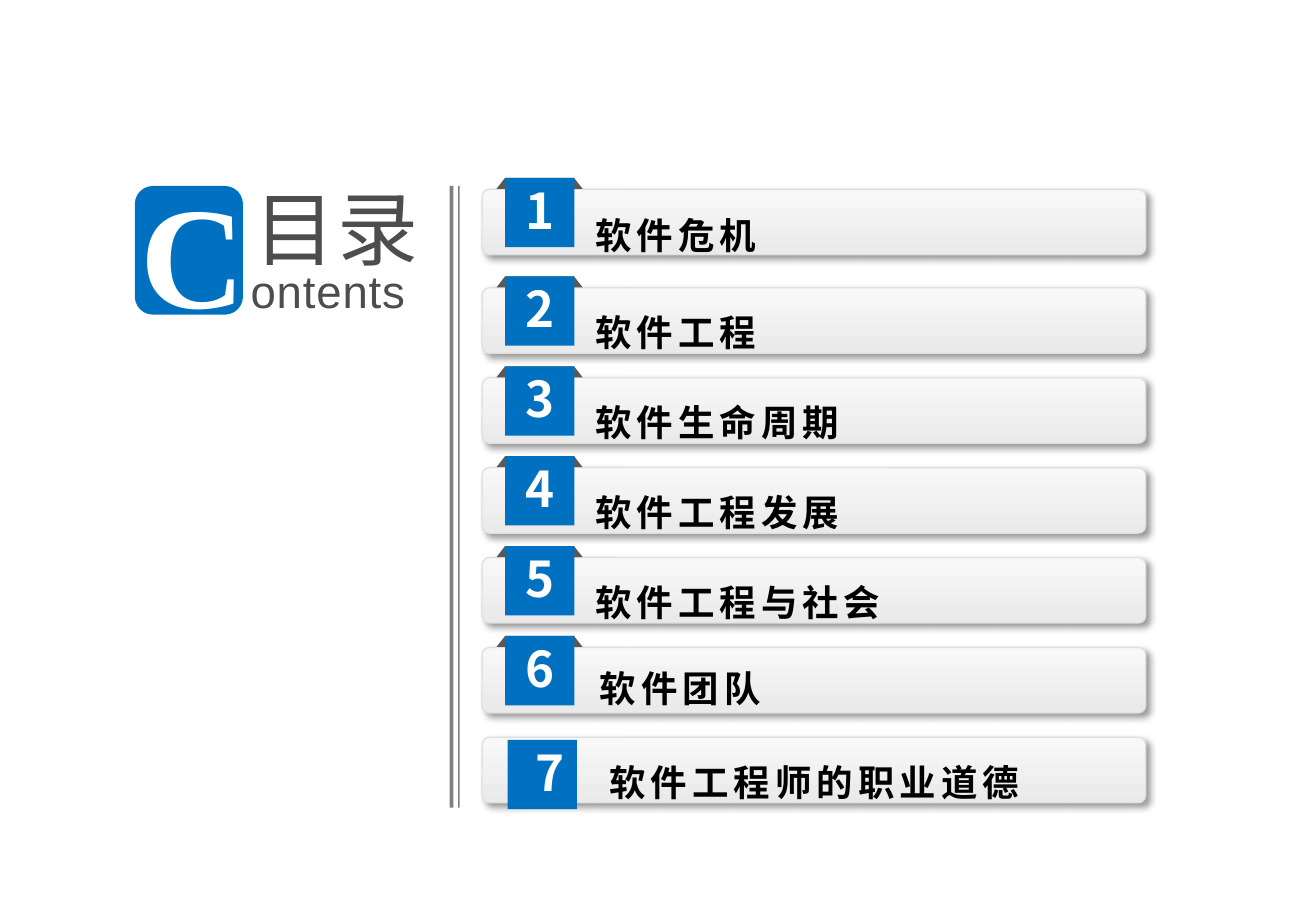
import dataclasses

import lxml.etree
import pptx
import pptx.dml.color
import pptx.enum.shapes
import pptx.enum.text
import pptx.oxml
import pptx.oxml.ns
import pptx.util

Cm, Pt = pptx.util.Cm, pptx.util.Pt
SHAPE = pptx.enum.shapes.MSO_SHAPE
ALIGN = pptx.enum.text.PP_ALIGN
ANCHOR = pptx.enum.text.MSO_ANCHOR
qn = pptx.oxml.ns.qn


@dataclasses.dataclass(frozen=True)
class Theme:
    blue: str = "0070C0"
    white: str = "FFFFFF"
    black: str = "000000"
    heading: str = "4D4D4D"
    rule: str = "808080"
    fold: str = "595959"
    bar_top: str = "F8F8F8"
    bar_bottom: str = "EAEAEA"
    bar_line: str = "DFDFE1"
    font: str = "Noto Sans CJK SC"
    sans: str = "Liberation Sans"
    serif: str = "Liberation Serif"
    initial_size: float = 86
    title_size: float = 48
    subtitle_size: float = 27
    number_size: float = 29.2
    item_size: float = 21.6
    item_line: float = 32


@dataclasses.dataclass(frozen=True)
class Item:
    text: str
    text_dx: float = 0     # shift of the text from the common left edge, cm
    text_dy: float = 0.25  # text below the top of its bar, cm
    tag_dx: float = 0.48
    tag_dy: float = -0.24
    number_dx: float = 0
    folded: bool = True


T = Theme()
ITEMS = [
    Item("软件危机", text_dy=0.28),
    Item("软件工程"),
    Item("软件生命周期"),
    Item("软件工程发展"),
    Item("软件工程与社会"),
    Item("软件团队", text_dx=0.1, text_dy=0.18),
    Item("软件工程师的职业道德", text_dx=0.3, tag_dx=0.53, tag_dy=0.05,
         number_dx=0.33, folded=False),
]
BAR_H = 1.37
FIRST_STEP, STEP = 2.06, 1.88
TEXT_X = 2.36


def rgb(color):
    return pptx.dml.color.RGBColor.from_string(color)


def add_block(shapes, kind, x, y, w, h, color):
    sp = shapes.add_shape(kind, Cm(x), Cm(y), Cm(w), Cm(h))
    sp.shadow.inherit = False
    sp.fill.solid()
    sp.fill.fore_color.rgb = rgb(color)
    sp.line.fill.background()
    return sp


def set_frame(tf, anchor=ANCHOR.MIDDLE, left=0, bottom=0):
    tf.margin_left, tf.margin_bottom = Cm(left), Cm(bottom)
    tf.margin_right = tf.margin_top = 0
    tf.word_wrap = True
    tf.auto_size = pptx.enum.text.MSO_AUTO_SIZE.NONE
    tf.vertical_anchor = anchor


def write(p, text, size, color, font=T.font, bold=False, align=ALIGN.LEFT, spacing=0):
    p.text = text
    p.alignment = align
    for r in p.runs:
        r.font.size, r.font.bold = Pt(size), bold
        r.font.color.rgb = rgb(color)
        r.font.name = font
        rPr = r.font._element
        rPr.set("spc", str(round(spacing * 100)))
        lxml.etree.SubElement(rPr, qn("a:ea")).set("typeface", font)


def add_heading(s, x, y):
    # Badge with the initial letter
    badge = add_block(s.shapes, SHAPE.ROUNDED_RECTANGLE, x, y, 2.26, 2.69, T.blue)
    set_frame(badge.text_frame)
    write(badge.text_frame.paragraphs[0], "C", T.initial_size, T.white,
          T.serif, bold=True, align=ALIGN.CENTER)

    # Title
    title = s.shapes.title
    title.left, title.top, title.width, title.height = Cm(x + 2.5), Cm(y - 0.4), Cm(3.9), Cm(2.5)
    set_frame(title.text_frame)
    write(title.text_frame.paragraphs[0], "目录", T.title_size, T.heading, spacing=1)

    # Rest of the English word
    tb = s.shapes.add_textbox(Cm(x + 2.42), Cm(y + 1.58), Cm(3.9), Cm(1.2))
    set_frame(tb.text_frame)
    write(tb.text_frame.paragraphs[0], "ontents", T.subtitle_size, T.heading,
          T.sans, spacing=0.5)


def add_double_rule(s, x, y, h):
    for dx, w in ((0, 0.08), (0.18, 0.03)):
        add_block(s.shapes, SHAPE.RECTANGLE, x + dx, y, w, h, T.rule)


def add_bar(shapes, x, y, w):
    bar = add_block(shapes, SHAPE.ROUNDED_RECTANGLE, x, y, w, BAR_H, T.bar_top)
    bar.adjustments[0] = 0.11
    bar.fill.gradient()
    bar.fill.gradient_angle = 270
    for stop, color in zip(bar.fill.gradient_stops, (T.bar_top, T.bar_bottom)):
        stop.color.rgb = rgb(color)
    bar.line.color.rgb = rgb(T.bar_line)
    bar.line.width = Pt(0)
    effects = bar.element.spPr.find(qn("a:effectLst"))
    shadow = lxml.etree.SubElement(effects, qn("a:outerShdw"), blurRad=str(Pt(4)),
                                   dist=str(Pt(3)), dir="2700000", algn="tl")
    color = lxml.etree.SubElement(shadow, qn("a:srgbClr"), val=T.black)
    lxml.etree.SubElement(color, qn("a:alpha"), val="40000")


def add_row(s, x, y, w, number, item):
    shapes = s.shapes.add_group_shape().shapes
    add_bar(shapes, x, y, w)
    if item.folded:
        fold = add_block(shapes, SHAPE.TRAPEZOID, x + 0.3, y + item.tag_dy, 1.8, 0.23, T.fold)
        fold.adjustments[0] = 0.78
    tag = add_block(shapes, SHAPE.RECTANGLE, x + item.tag_dx, y + item.tag_dy,
                    1.45, 1.45, T.blue)
    set_frame(tag.text_frame, left=item.number_dx, bottom=0.13)
    write(tag.text_frame.paragraphs[0], str(number), T.number_size, T.white,
          bold=True, align=ALIGN.CENTER)


def add_contents(s, x, y, w):
    # Bars and number tags
    tops = [y] + [y + FIRST_STEP + STEP * i for i in range(len(ITEMS) - 1)]
    for number, (top, item) in enumerate(zip(tops, ITEMS), 1):
        add_row(s, x, top, w, number, item)

    # List in front of the bars
    body = s.placeholders[1]
    body.element.getparent().append(body.element)
    text_tops = [top + item.text_dy for top, item in zip(tops, ITEMS)]
    body.left, body.top = Cm(x + TEXT_X), Cm(text_tops[0])
    body.width, body.height = Cm(w - TEXT_X), Cm(tops[-1] + BAR_H - text_tops[0])
    tf = body.text_frame
    set_frame(tf, ANCHOR.TOP)
    for i, item in enumerate(ITEMS):
        p = tf.paragraphs[0] if i == 0 else tf.add_paragraph()
        pPr = p._p.get_or_add_pPr()
        pPr.set("marL", str(Cm(item.text_dx)))
        pPr.set("indent", "0")
        lxml.etree.SubElement(pPr, qn("a:buNone"))
        p.line_spacing = Pt(T.item_line)
        gap = Cm(text_tops[i] - text_tops[i - 1]).pt - T.item_line if i else 0
        p.space_before, p.space_after = Pt(gap), Pt(0)
        write(p, item.text, T.item_size, T.black, bold=True, spacing=3)


def main():
    prs = pptx.Presentation()
    prs.slide_width, prs.slide_height = Cm(27.51), Cm(19.05)
    s = prs.slides.add_slide(prs.slide_layouts[1])
    add_heading(s, 2.82, 3.89)
    add_double_rule(s, 9.4, 3.89, 13)
    add_contents(s, 10.08, 3.96, 13.87)
    prs.save("out.pptx")


if __name__ == "__main__":
    main()
